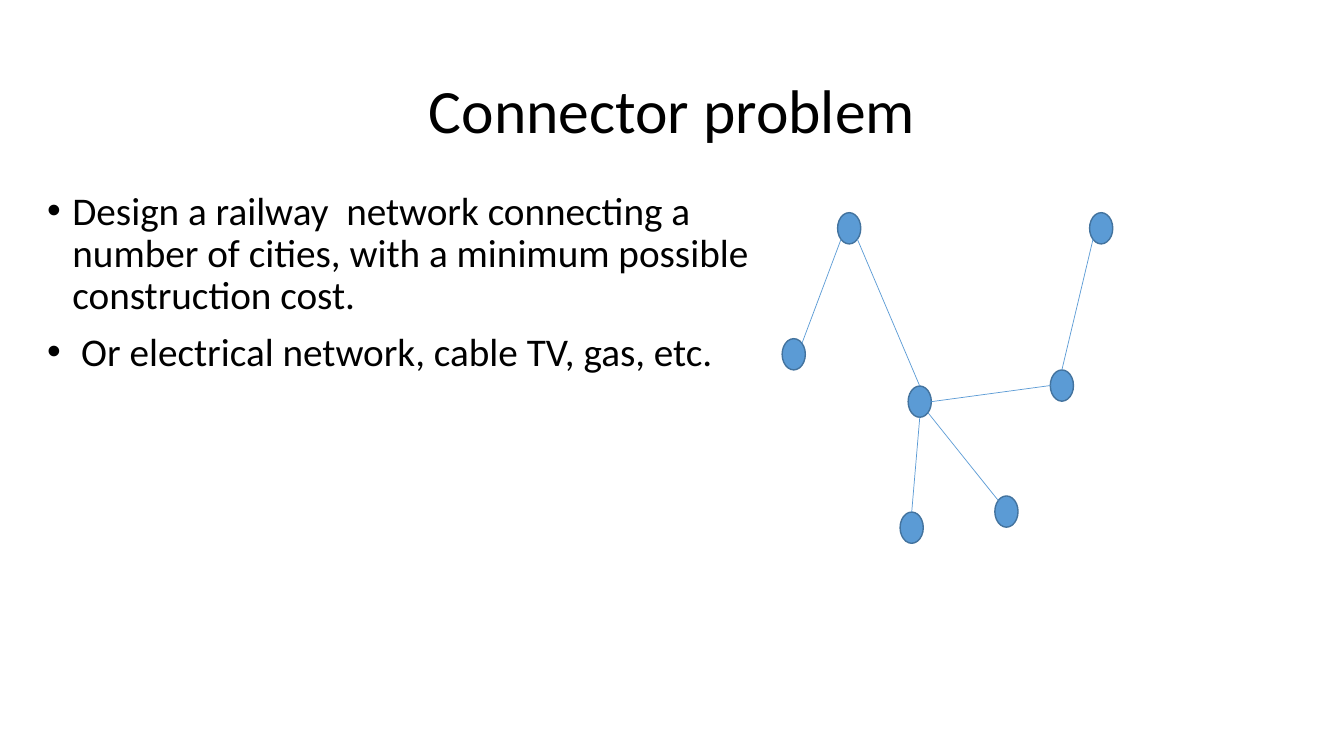
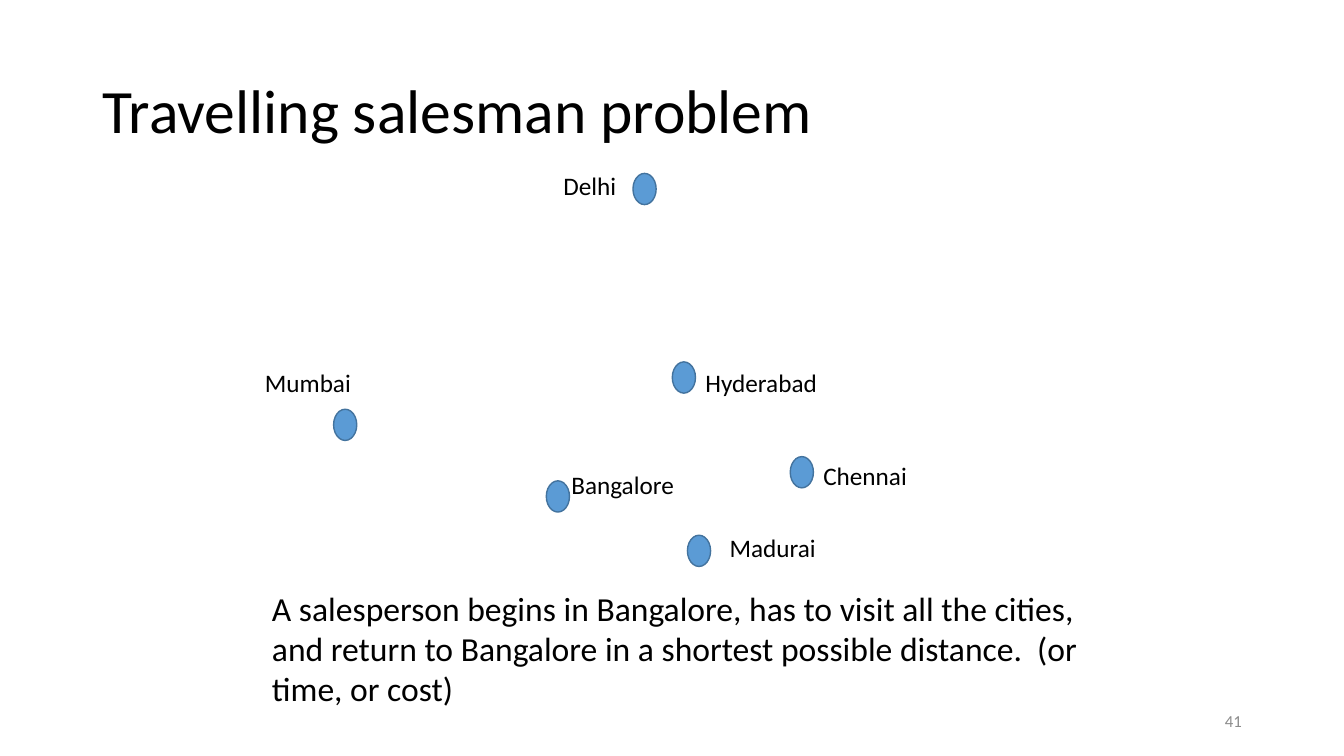
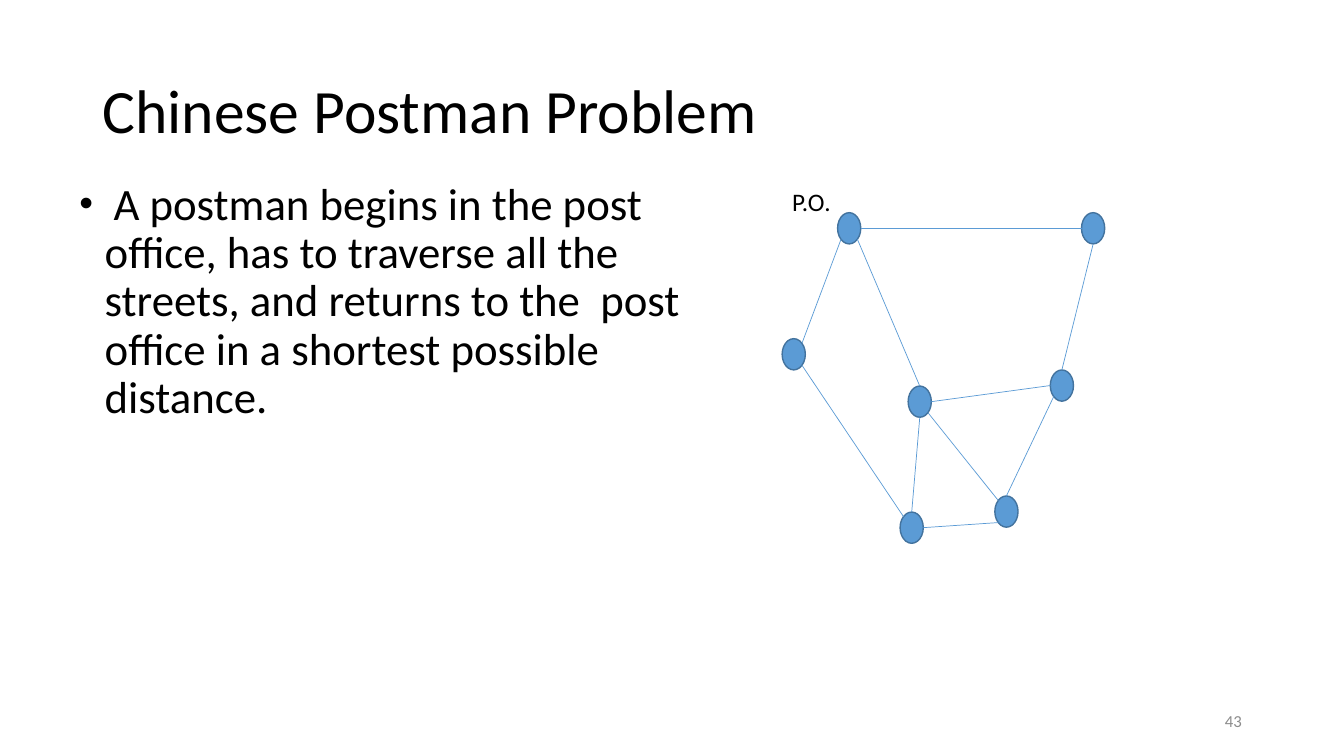
from math import cos, pi, sin

from lxml.etree import SubElement
from pptx import Presentation
from pptx.dml.color import RGBColor
from pptx.enum.shapes import MSO_CONNECTOR as Connector, MSO_SHAPE as Shape
from pptx.enum.text import MSO_ANCHOR as Anchor, PP_ALIGN as Align
from pptx.oxml.ns import qn
from pptx.util import Emu, Pt

EMU_PER_PX = 9144
FONT = "Calibri"
BLACK = RGBColor(0x00, 0x00, 0x00)
GREY = RGBColor(0x8C, 0x8C, 0x8C)
BLUE = RGBColor(0x5B, 0x9B, 0xD5)
DARK_BLUE = RGBColor(0x43, 0x73, 0x9E)
NODE_WIDTH, NODE_HEIGHT = 23, 31

# Directions from a node's centre, in eighths of a turn clockwise from the right.
RIGHT, BOTTOM_RIGHT, BOTTOM, BOTTOM_LEFT, LEFT, TOP_LEFT, TOP, TOP_RIGHT = range(8)

NETWORK = {
    "west": (776, 336),
    "north": (831, 211),
    "south": (893, 508),
    "southeast": (987, 492),
    "east": (1042, 367),
    "hub": (901, 383),
}
TREE_EDGES = [
    ("north", BOTTOM_LEFT, "west", TOP_RIGHT),
    ("hub", TOP, "north", BOTTOM_RIGHT),
    ("east", LEFT, "hub", RIGHT),
    ("southeast", TOP_LEFT, "hub", BOTTOM_RIGHT),
    ("hub", BOTTOM, "south", TOP),
]
STREET_EDGES = [
    ("southeast", TOP, "east", BOTTOM_LEFT),
    ("northeast", BOTTOM, "east", TOP),
    ("northeast", LEFT, "north", RIGHT),
    ("south", TOP_LEFT, "west", BOTTOM_RIGHT),
    ("southeast", BOTTOM_LEFT, "south", RIGHT),
]

# City: node position, label position, label width
CITIES = {
    "Hyderabad": ((667, 359), (690, 359), 156),
    "Mumbai": ((331, 406), (253, 359), 117),
    "Bangalore": ((542, 477), (557, 461), 156),
    "Delhi": ((628, 172), (549, 164), 117),
    "Chennai": ((784, 453), (807, 452), 117),
    "Madurai": ((682, 531), (714, 523), 117),
}


def px(length):
    return Emu(round(length * EMU_PER_PX))


def anchor_point(node, direction):
    """Point on the outline of a node in the given direction."""
    left, top = node
    angle = direction * pi / 4
    return (left + NODE_WIDTH / 2 * (1 + cos(angle)),
            top + NODE_HEIGHT / 2 * (1 + sin(angle)))


class Slides:
    def __init__(self):
        self.deck = Presentation()
        self.deck.slide_width, self.deck.slide_height = Emu(12192000), Emu(6858000)
        self.page = None

    def add_page(self, title, align=Align.LEFT):
        self.page = self.deck.slides.add_slide(self.deck.slide_layouts[6])
        box = self.text(title, 92, 40, 1150, 145, 44, align=align, anchor=Anchor.MIDDLE)
        box.text_frame.paragraphs[0].line_spacing = 0.9

    def style(self, span, size, color=BLACK):
        span.font.name = FONT
        span.font.size = Pt(size)
        span.font.color.rgb = color

    def frame(self, left, top, width, height):
        box = self.page.shapes.add_textbox(px(left), px(top), px(width), px(height))
        box.text_frame.word_wrap = True
        return box

    def text(self, text, left, top, width, height, size,
             color=BLACK, align=Align.LEFT, anchor=Anchor.TOP):
        box = self.frame(left, top, width, height)
        box.text_frame.text = text
        box.text_frame.vertical_anchor = anchor
        para = box.text_frame.paragraphs[0]
        para.alignment = align
        self.style(para.runs[0], size, color)
        return box

    def label(self, text, left, top, width):
        self.text(text, left, top, width, 40, 18)

    def page_number(self, number):
        self.text(str(number), 942, 695, 300, 40, 12, GREY, Align.RIGHT, Anchor.MIDDLE)

    def bullets(self, items, left, top, width, height):
        """Bulleted text; each item is a list of (text, size) spans."""
        text_frame = self.frame(left, top, width, height).text_frame
        for index, spans in enumerate(items):
            para = text_frame.add_paragraph() if index else text_frame.paragraphs[0]
            properties = para._p.get_or_add_pPr()
            properties.set("marL", str(px(25)))
            properties.set("indent", str(px(-25)))
            SubElement(properties, qn("a:buFont"), typeface="Arial")
            SubElement(properties, qn("a:buChar"), char="•")
            para.line_spacing = 0.9
            if index:
                para.space_before = Pt(10)
            for text, size in spans:
                span = para.add_run()
                span.text = text
                self.style(span, size)

    def node(self, left, top):
        dot = self.page.shapes.add_shape(
            Shape.OVAL, px(left), px(top), px(NODE_WIDTH), px(NODE_HEIGHT))
        dot.shadow.inherit = False
        dot.fill.solid()
        dot.fill.fore_color.rgb = BLUE
        dot.line.color.rgb = DARK_BLUE
        dot.line.width = Pt(1)

    def edge(self, start, end):
        points = [px(value) for value in (*start, *end)]
        line = self.page.shapes.add_connector(Connector.STRAIGHT, *points)
        line.line.color.rgb = BLUE
        line.line.width = Pt(0.5)
        SubElement(line._element.spPr, qn("a:effectLst"))

    def graph(self, nodes, edges):
        for position in nodes.values():
            self.node(*position)
        for start, leaving, end, arriving in edges:
            self.edge(anchor_point(nodes[start], leaving),
                      anchor_point(nodes[end], arriving))


def connector_problem(slides):
    slides.add_page("Connector problem", Align.CENTER)
    slides.bullets([
        [("Design a railway  network connecting a number of cities, "
          "with a minimum possible construction cost.", 28)],
        [(" Or electrical network, cable TV, gas, etc.", 28)],
    ], 37, 185, 739, 536)
    slides.graph({**NETWORK, "northeast": (1081, 211)},
                 TREE_EDGES + [("northeast", BOTTOM_LEFT, "east", TOP)])


def travelling_salesman(slides):
    slides.add_page("Travelling salesman problem")
    for city, (position, label_position, label_width) in CITIES.items():
        slides.node(*position)
        slides.label(city, *label_position, label_width)
    slides.text("A salesperson begins in Bangalore, has to visit all the cities, "
                "and return to Bangalore in a shortest possible distance.  "
                "(or time, or cost)", 260, 578, 844, 131, 24)
    slides.page_number(41)


def chinese_postman(slides):
    slides.add_page("Chinese Postman Problem")
    slides.bullets([
        [(" ", 28),
         ("A postman begins in the post office, has to traverse all the streets, "
          "and returns to the  post office in a shortest possible distance.", 32)],
    ], 69, 175, 661, 492)
    slides.graph({**NETWORK, "northeast": (1073, 211)}, TREE_EDGES + STREET_EDGES)
    slides.label("P.O.", 776, 180, 78)
    slides.page_number(43)


def main():
    slides = Slides()
    connector_problem(slides)
    travelling_salesman(slides)
    chinese_postman(slides)
    slides.deck.save("out.pptx")


if __name__ == "__main__":
    main()
